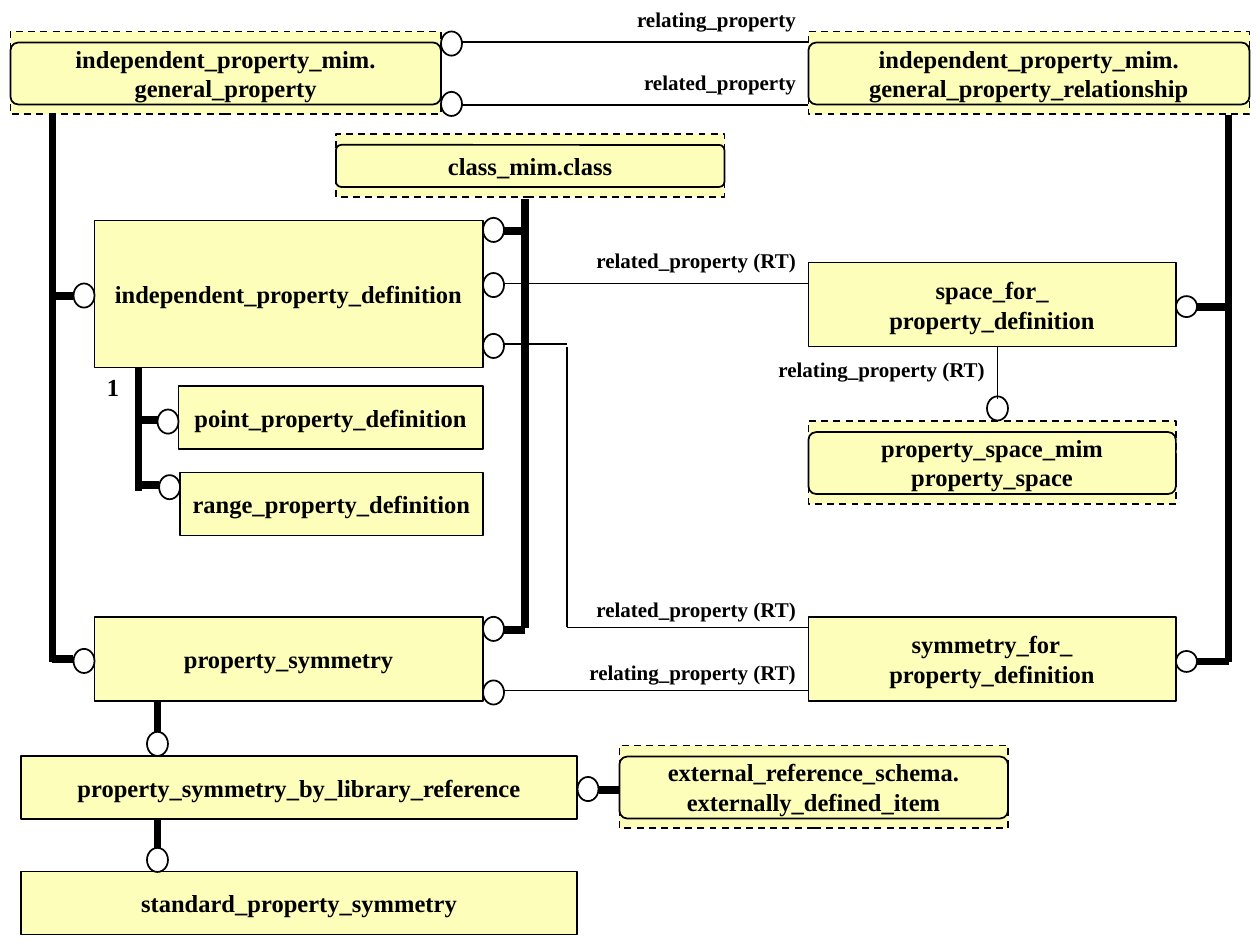
from dataclasses import dataclass
from typing import Any

from lxml.etree import SubElement
from pptx import Presentation
from pptx.dml.color import RGBColor
from pptx.enum.dml import MSO_LINE
from pptx.enum.shapes import MSO_CONNECTOR, MSO_SHAPE
from pptx.enum.text import MSO_ANCHOR, MSO_AUTO_SIZE, PP_ALIGN
from pptx.oxml.ns import qn
from pptx.util import Inches, Pt


@dataclass
class Theme:
    ink: RGBColor = RGBColor(0, 0, 0)
    paper: RGBColor = RGBColor(0xFF, 0xFF, 0xFF)
    entity: RGBColor = RGBColor(0xFC, 0xFE, 0xB9)
    font: str = "Times New Roman"
    name_size: int = 14
    label_size: int = 12
    thin: float = 0.99
    heavy: float = 4.51


def grid(n):
    """Length of n grid units; the slide is 120 columns by 90 rows."""
    return Inches(n / 12)


@dataclass
class Diagram:
    slide: Any
    theme: Theme

    def shape(self, kind, at, fill=None, parent=None):
        sp = (parent or self.slide).shapes.add_shape(kind, *map(grid, at))
        sp.shadow.inherit = False
        if fill is None:
            sp.fill.background()
        else:
            sp.fill.solid()
            sp.fill.fore_color.rgb = fill
        sp.line.color.rgb = self.theme.ink
        sp.line.width = Pt(self.theme.thin)
        return sp

    def text(self, sp, words, size, align, **frame):
        tf = sp.text_frame
        for key, value in {"word_wrap": False, **frame}.items():
            setattr(tf, key, value)
        tf.text = words
        for p in tf.paragraphs:
            p.alignment = align
            font = p.runs[0].font
            style = {"name": self.theme.font, "size": Pt(size), "bold": True}
            for key, value in style.items():
                setattr(font, key, value)
            font.color.rgb = self.theme.ink

    def entity(self, words, *at, parent=None):
        sp = self.shape(MSO_SHAPE.RECTANGLE, at, self.theme.entity, parent)
        self.text(sp, words, self.theme.name_size, PP_ALIGN.CENTER,
                  vertical_anchor=MSO_ANCHOR.MIDDLE)
        return sp

    def external(self, words, col, row, width, height):
        group = self.slide.shapes.add_group_shape()
        sp = self.entity(words, col, row, width, height, parent=group)
        sp.line.dash_style = MSO_LINE.DASH
        inner = (col, row + 1.05, width, height - 2)
        sp = self.shape(MSO_SHAPE.ROUNDED_RECTANGLE, inner, parent=group)
        sp.adjustments[0] = 0.125

    def ring(self, col, row, height=2.3):
        self.shape(MSO_SHAPE.OVAL, (col, row, 2, height), self.theme.paper)

    def line(self, width, *ends):
        cx = self.slide.shapes.add_connector(MSO_CONNECTOR.STRAIGHT, *map(grid, ends))
        cx.line.color.rgb = self.theme.ink
        cx.line.width = Pt(width)
        SubElement(cx._element.spPr, qn("a:effectLst"))

    def label(self, words, col, row, width, size=None, align=PP_ALIGN.RIGHT):
        size = size or self.theme.label_size
        sp = self.slide.shapes.add_textbox(*map(grid, (col, row, width, size * 0.3)))
        self.text(sp, words, size, align, auto_size=MSO_AUTO_SIZE.SHAPE_TO_FIT_TEXT)


prs = Presentation()
prs.slide_width, prs.slide_height = Inches(10), Inches(7.5)
theme = Theme()
d = Diagram(prs.slides.add_slide(prs.slide_layouts[6]), theme)

# Inheritance trunks and their branches
for ends in [
    (5, 63, 5, 11), (5, 28.2, 7, 28.2), (5, 62.8, 7, 62.8),
    (117, 63, 117, 11), (117, 29.25, 114, 29.25), (117, 63, 114, 63),
    (50, 59.8, 50, 19), (48, 22, 50, 22), (48, 60, 50, 60),
    (13.2, 34.8, 13.2, 46.8), (13, 40, 15, 40), (13.2, 46.2, 15.1, 46.2),
    (15, 66.7, 15, 69.7), (15, 78, 15, 81), (57, 75.25, 59, 75.25),
]:
    d.line(theme.heavy, *ends)

# Entities of this schema
for words, *at in [
    ("independent_property_definition", 9, 21, 37, 14),
    ("point_property_definition", 17, 36.75, 29, 6),
    ("range_property_definition", 17.15, 45, 28.85, 6),
    ("property_symmetry", 9, 58.75, 37, 8),
    ("property_symmetry_by_library_reference", 2, 72, 53, 6),
    ("standard_property_symmetry", 2, 83, 53, 6),
    ("space_for_\nproperty_definition", 77, 25, 35, 8),
    ("symmetry_for_\nproperty_definition", 77, 58.75, 35, 8),
]:
    d.entity(words, *at)

# Entities from other schemas
for words, *at in [
    ("independent_property_mim.\ngeneral_property", 1, 3, 41, 7.9),
    ("independent_property_mim.\ngeneral_property_relationship", 77, 3, 42, 7.9),
    ("class_mim.class", 32, 12.75, 37, 6),
    ("property_space_mim\nproperty_space", 77, 40.1, 35, 7.9),
    ("external_reference_schema.\nexternally_defined_item", 59, 71, 37, 7.9),
]:
    d.external(words, *at)

# Rings at the line ends, column by column
for col, rows in {
    7: (27, 61.8),
    14: (69.7, 80.75),
    15: (39,),
    15.15: (45.25,),
    42: (3, 8.75),
    46: (20.75, 26, 31.8, 58.75, 64.8),
    55: (74,),
    94: (37.75,),
}.items():
    for row in rows:
        d.ring(col, row)
for row in (28.2, 62):
    d.ring(112, row, height=2)

# Attribute lines
for ends in [
    (44, 4, 77, 4), (44, 10, 77, 10), (48, 27, 77, 27), (48, 65.75, 77, 65.75),
    (48, 32.75, 54, 32.75), (54, 59.75, 54, 33), (77, 59.75, 54, 59.75),
    (95, 33, 95, 38),
]:
    d.line(theme.thin, *ends)

# Attribute names, ending at a shared right edge
for words, right, row, width in [
    ("relating_property", 77, 0, 17.6),
    ("related_property", 77, 6, 16.9),
    ("related_property (RT)", 77, 23, 22),
    ("relating_property (RT)", 95, 33.4, 22.2),
    ("related_property (RT)", 77, 56.2, 22),
    ("relating_property (RT)", 77, 62.2, 22.2),
]:
    d.label(words, right - width, row, width)
d.label("1", 9, 34.8, 3.6, theme.name_size, PP_ALIGN.LEFT)

prs.save("out.pptx")
